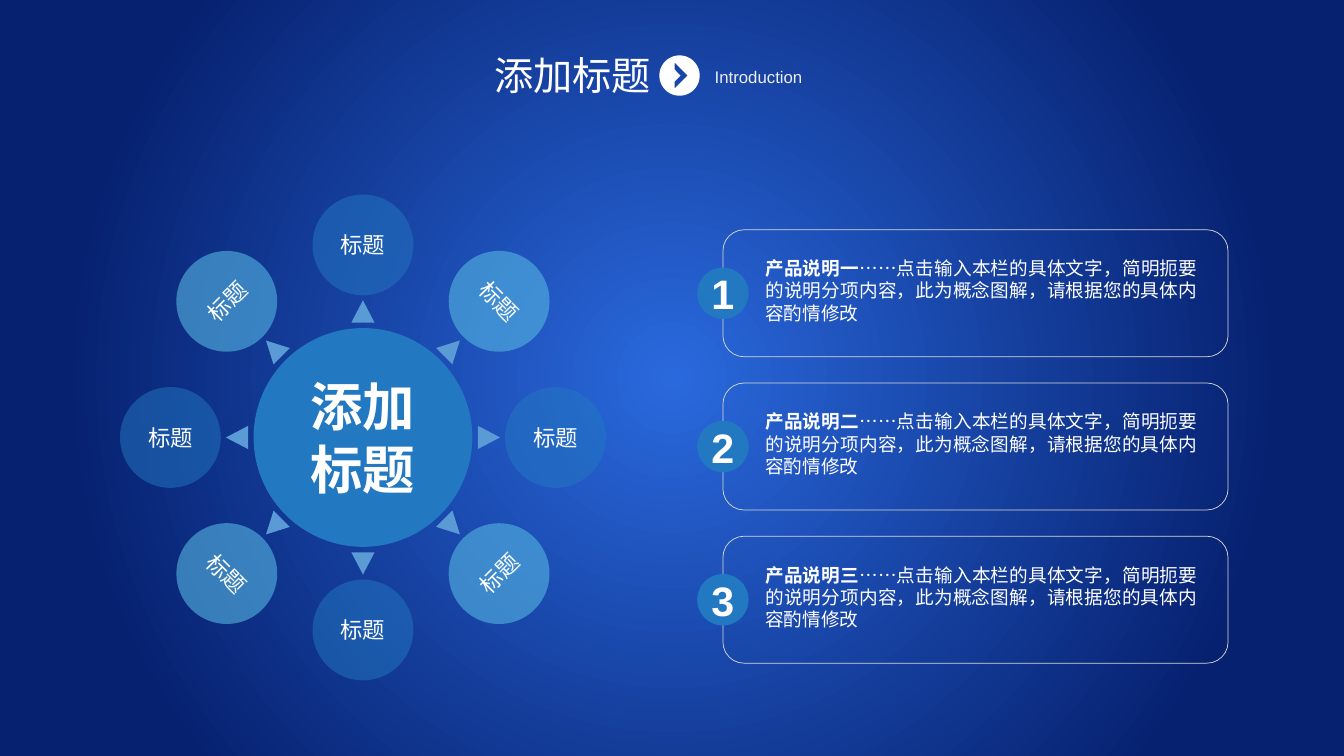
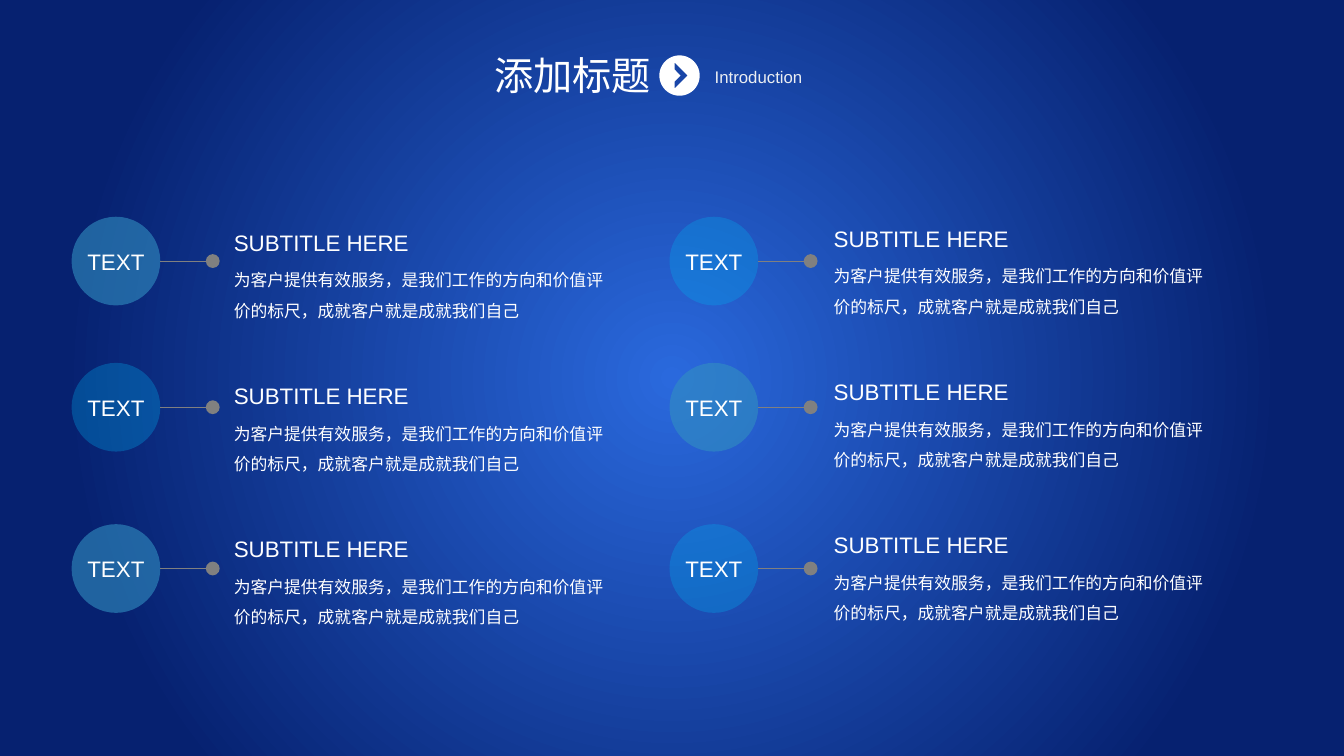
from math import cos, pi, radians, sin

from pptx import Presentation
from pptx.dml.color import RGBColor
from pptx.enum.shapes import MSO_CONNECTOR as LINK, MSO_SHAPE as SHAPE
from pptx.enum.text import MSO_ANCHOR as ANCHOR, MSO_AUTO_SIZE as AUTO, PP_ALIGN as ALIGN
from pptx.oxml import parse_xml
from pptx.oxml.ns import nsdecls
from pptx.oxml.xmlchemy import OxmlElement
from pptx.util import Inches, Pt

# Shared style
FONT = "Arial"
WHITE, PALE, GREY, FRAME = "FFFFFF", "EBEEF2", "808080", "D9D9D9"
BLUE, SKY, ARROW, TEAL, CYAN = "2378C2", "55B5E2", "5B9BD5", "328FC1", "00AEEF"
BACK_INNER, BACK_OUTER = "2A69DD", "062170"

# Content
TITLE, TITLE_NOTE = "添加标题", "Introduction"
HUB_TEXT, PETAL_TEXT, PETAL_COUNT = "添加标题", "标题", 8
PANEL_HEADS = ["产品说明一", "产品说明二", "产品说明三"]
PANEL_BODY = "……点击输入本栏的具体文字，简明扼要的说明分项内容，此为概念图解，请根据您的具体内容酌情修改"
SERVICE_BADGE, SERVICE_HEAD = "TEXT", "SUBTITLE HERE"
SERVICE_BODY = "为客户提供有效服务，是我们工作的方向和价值评价的标尺，成就客户就是成就我们自己"

# Layout in inches
HUB_X, HUB_Y, HUB_SIZE = 3.6, 4.34, 2.17
PETAL_REACH, ARROW_REACH = 1.91, 1.25
PANEL_LEFT, PANEL_TOP, PANEL_PITCH = 7.17, 2.28, 1.52
PANEL_WIDTH, PANEL_HEIGHT = 5.01, 1.26
BADGE_SIZE, LINK_LENGTH = 0.88, 0.52
BADGE_TOPS = [2.15, 3.6, 5.2]
TEXT_PITCH = 1.52
COLUMNS = [  # badge left, text left, text top
    (0.71, 2.22, 2.22),
    (6.64, 8.17, 2.18),
]


def color(code):
    return RGBColor.from_string(code)


def write(shape, spans, size, bold=False, ink=WHITE, align=ALIGN.LEFT,
          tight=False, wrap=True):
    """Write (text, bold) spans, or one string, as a single paragraph."""
    frame = shape.text_frame
    frame.word_wrap = wrap
    if tight:
        frame.margin_left = frame.margin_right = 0
        frame.margin_top = frame.margin_bottom = 0
    para = frame.paragraphs[0]
    para.alignment = align
    for text, heavy in [(spans, bold)] if isinstance(spans, str) else spans:
        span = para.add_run()
        span.text = text
        span.font.name, span.font.size, span.font.bold = FONT, Pt(size), heavy
        span.font.color.rgb = color(ink)
    return para


def add_text(page, left, top, width, height, spans, size, **style):
    box = page.shapes.add_textbox(*map(Inches, (left, top, width, height)))
    box.text_frame.auto_size = AUTO.SHAPE_TO_FIT_TEXT
    return write(box, spans, size, **style)


def add_shape(page, kind, mid_x, mid_y, width, height, fill=None, alpha=None, turn=0):
    shape = page.shapes.add_shape(kind, Inches(mid_x - width / 2), Inches(mid_y - height / 2),
                                  Inches(width), Inches(height))
    shape.shadow.inherit = False
    shape.rotation = turn
    shape.line.fill.background()
    if fill is None:
        shape.fill.background()
        return shape
    shape.fill.solid()
    shape.fill.fore_color.rgb = color(fill)
    if alpha:
        tone = OxmlElement("a:alpha")
        tone.set("val", str(alpha * 1000))
        shape.fill._xPr.find(".//{*}srgbClr").append(tone)
    return shape


def add_disc(page, mid_x, mid_y, size, fill, text, points, alpha=None, turn=0, **style):
    disc = add_shape(page, SHAPE.OVAL, mid_x, mid_y, size, size, fill, alpha, turn)
    disc.text_frame.vertical_anchor = ANCHOR.MIDDLE
    write(disc, text, points, align=ALIGN.CENTER, **style)


def add_dot_link(page, left, y):
    link = page.shapes.add_connector(LINK.STRAIGHT, Inches(left), Inches(y),
                                     Inches(left + LINK_LENGTH), Inches(y))
    link.line.color.rgb = color(GREY)
    link.line.width = Pt(0.5)
    dot = OxmlElement("a:tailEnd")
    for key, value in (("type", "oval"), ("w", "lg"), ("len", "lg")):
        dot.set(key, value)
    link.line._get_or_add_ln().append(dot)
    link._element.spPr.append(OxmlElement("a:effectLst"))


def set_background(deck):
    master = deck.slide_master
    master.background.fill.gradient()
    old = master.element.find(".//{*}bgPr/{*}gradFill")
    stops = "".join(f'<a:gs pos="{place}"><a:srgbClr val="{code}"/></a:gs>'
                    for place, code in ((0, BACK_INNER), (79000, BACK_OUTER)))
    old.getparent().replace(old, parse_xml(
        f'<a:gradFill {nsdecls("a")} rotWithShape="1"><a:gsLst>{stops}</a:gsLst>'
        '<a:path path="circle"><a:fillToRect l="50000" t="50000" r="50000" b="50000"/>'
        '</a:path></a:gradFill>'))


def add_title_icon(page, mid_x, mid_y, radius):
    """White disc with a chevron cut out of it."""
    rim = [(radius * cos(step * pi / 36), radius * sin(step * pi / 36)) for step in range(72)]
    chevron = [(-0.05, -0.13), (0.08, 0), (-0.05, 0.13), (-0.05, 0.06), (0.01, 0), (-0.05, -0.06)]
    rim, chevron = ([(Inches(mid_x + x), Inches(mid_y + y)) for x, y in outline]
                    for outline in (rim, chevron))
    builder = page.shapes.build_freeform(*rim[0])
    builder.add_line_segments(rim[1:], close=True)
    builder.move_to(*chevron[0])
    builder.add_line_segments(chevron[1:], close=True)
    icon = builder.convert_to_shape()
    icon.shadow.inherit = False
    icon.fill.solid()
    icon.fill.fore_color.rgb = color(WHITE)
    icon.line.fill.background()


def add_page(deck):
    page = deck.slides.add_slide(deck.slide_layouts[6])
    add_title_icon(page, 6.74, 0.75, 0.2)
    add_text(page, 6.99, 0.61, 1.59, 0.3, TITLE_NOTE, 12, ink=PALE)
    add_text(page, 4.37, 0.46, 2.62, 0.57, TITLE, 28, align=ALIGN.CENTER)
    return page


def build_wheel(page):
    for step in range(PETAL_COUNT):
        angle = step * 360 / PETAL_COUNT
        across, up = sin(radians(angle)), cos(radians(angle))
        diagonal = step % 2 == 1
        fill, alpha = (SKY, 60) if diagonal else (BLUE, 50)
        tilt = (45 if step % 4 == 1 else 315) if diagonal else 0
        add_disc(page, HUB_X + PETAL_REACH * across, HUB_Y - PETAL_REACH * up, 1,
                 fill, PETAL_TEXT, 16, alpha, tilt, tight=True)
        add_shape(page, SHAPE.ISOSCELES_TRIANGLE, HUB_X + ARROW_REACH * across,
                  HUB_Y - ARROW_REACH * up, 0.23, 0.22, ARROW, turn=angle)
    add_shape(page, SHAPE.OVAL, HUB_X, HUB_Y, HUB_SIZE, HUB_SIZE, BLUE)
    add_text(page, HUB_X - 0.65, HUB_Y - 0.63, 1.3, 1.26, HUB_TEXT, 37.4, bold=True,
             align=ALIGN.CENTER, tight=True)


def build_panels(page):
    for index, head in enumerate(PANEL_HEADS):
        top = PANEL_TOP + index * PANEL_PITCH
        middle = top + PANEL_HEIGHT / 2
        panel = add_shape(page, SHAPE.ROUNDED_RECTANGLE, PANEL_LEFT + PANEL_WIDTH / 2,
                          middle, PANEL_WIDTH, PANEL_HEIGHT)
        panel.line.color.rgb = color(FRAME)
        panel.line.width = Pt(0.5)
        add_disc(page, PANEL_LEFT, middle, 0.51, BLUE, str(index + 1), 29.4,
                 bold=True, tight=True)
        add_text(page, PANEL_LEFT + 0.42, top + 0.27, 4.29, 0.67,
                 [(head, True), (PANEL_BODY, False)], 13.3, align=ALIGN.JUSTIFY, tight=True)


def build_services(page):
    for column, (badge_left, text_left, text_top) in enumerate(COLUMNS):
        for row, badge_top in enumerate(BADGE_TOPS):
            middle = badge_top + BADGE_SIZE / 2
            fill, alpha = (CYAN, 30) if (row + column) % 2 else (TEAL, 60)
            add_disc(page, badge_left + BADGE_SIZE / 2, middle, BADGE_SIZE, fill,
                     SERVICE_BADGE, 16, alpha, wrap=False)
            add_dot_link(page, badge_left + BADGE_SIZE, middle)
            top = text_top + row * TEXT_PITCH
            body = add_text(page, text_left, top + 0.31, 3.88, 0.68, SERVICE_BODY, 12)
            body.line_spacing, body.space_after = 1.5, Pt(6)
            add_text(page, text_left, top, 3.88, 0.37, SERVICE_HEAD, 16)


def main():
    deck = Presentation()
    deck.slide_width, deck.slide_height = Inches(13.33), Inches(7.5)
    set_background(deck)
    wheel_page = add_page(deck)
    build_wheel(wheel_page)
    build_panels(wheel_page)
    build_services(add_page(deck))
    deck.save("out.pptx")


if __name__ == "__main__":
    main()
